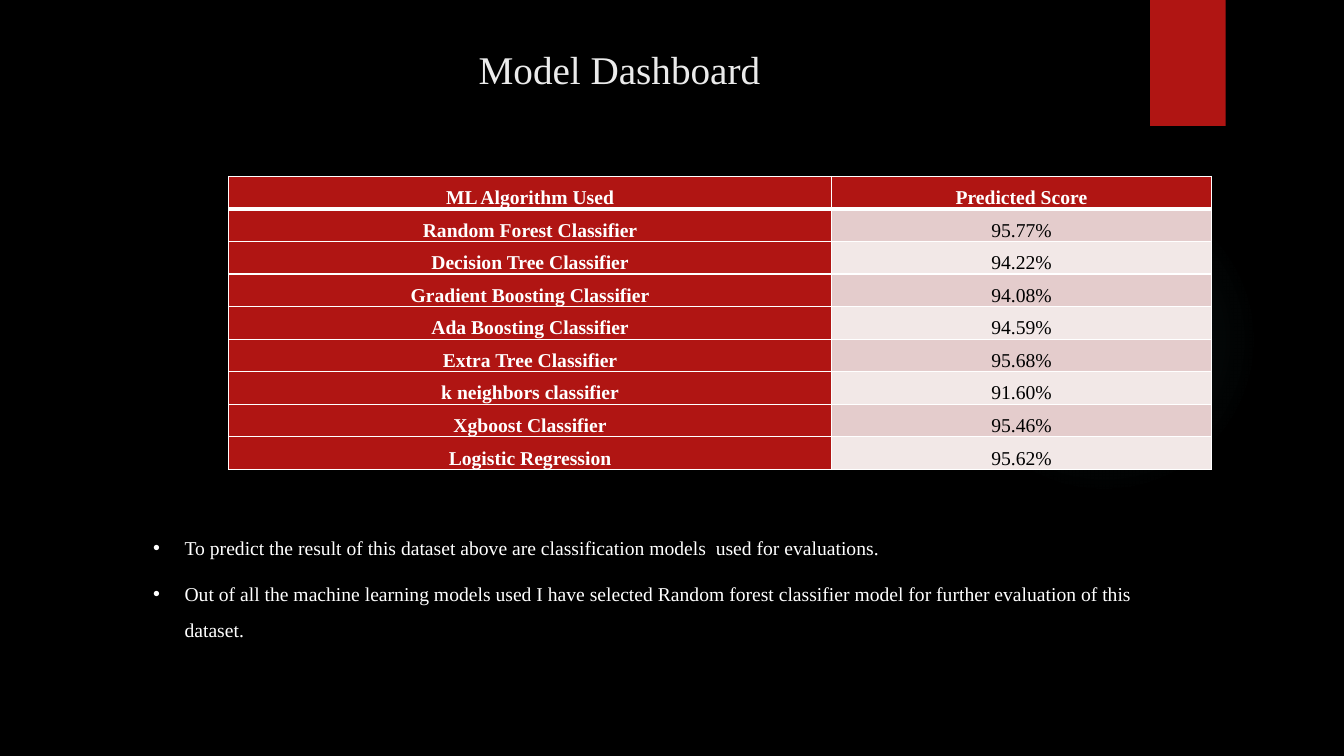
from typing import NamedTuple

from lxml import etree
from pptx import Presentation
from pptx import util as u
from pptx.dml.color import RGBColor
from pptx.enum import shapes, text
from pptx.oxml import ns

BLACK = RGBColor(0x00, 0x00, 0x00)
WHITE = RGBColor(0xFF, 0xFF, 0xFF)
OFF_WHITE = RGBColor(0xEB, 0xEB, 0xEB)
RED = RGBColor(0xB0, 0x15, 0x13)
DARK_BAND = RGBColor(0xE4, 0xCC, 0xCC)
LIGHT_BAND = RGBColor(0xF2, 0xE8, 0xE7)
TEAL = RGBColor(0x50, 0xB9, 0xC1)
FONT = "Times New Roman"


class Box(NamedTuple):
    left: float
    top: float
    width: float
    height: float

    def lengths(self) -> list:
        return [u.Pt(value) for value in self]


class Score(NamedTuple):
    algorithm: str
    score: str


class GlowStop(NamedTuple):
    position: int
    opacity: int


TITLE_BOX = Box(66.25, 28.8, 752.4, 55.45)
GLOW_BOX = Box(677.5, 131.75, 221.75, 221.75)
RIBBON_BOX = Box(821.5, 0, 54, 90)
TABLE_BOX = Box(163.45, 126, 702, 199.5)
NOTES_BOX = Box(66.25, 370.8, 793.45, 88.55)
COLUMN_WIDTHS = (430.55, 271.45)
GLOW_STOPS = (GlowStop(0, 7), GlowStop(36, 6), GlowStop(69, 0))

HEADER = Score("ML Algorithm Used", "Predicted Score")
SCORES = (
    Score("Random Forest Classifier", "95.77%"),
    Score("Decision Tree Classifier", "94.22%"),
    Score("Gradient Boosting Classifier", "94.08%"),
    Score("Ada Boosting Classifier", "94.59%"),
    Score("Extra Tree Classifier", "95.68%"),
    Score("k neighbors classifier", "91.60%"),
    Score("Xgboost Classifier", "95.46%"),
    Score("Logistic Regression", "95.62%"),
)
NOTES = (
    "To predict the result of this dataset above are classification models  used for evaluations.",
    "Out of all the machine learning models used I have selected Random forest classifier model "
    "for further evaluation of this dataset.",
)


def add_child(parent, tag: str, **attributes):
    return etree.SubElement(parent, ns.qn(tag), {key: str(value) for key, value in attributes.items()})


def add_run(paragraph, words: str, size: float, color: RGBColor, bold: bool = False) -> None:
    run = paragraph.add_run()
    run.text = words
    run.font.name = FONT
    run.font.size = u.Pt(size)
    run.font.bold = bold
    run.font.color.rgb = color


def space_lines(paragraph) -> None:
    paragraph.line_spacing = 1.5
    paragraph.space_after = u.Pt(8)


def add_plain_shape(slide, kind, box: Box, color: RGBColor):
    shape = slide.shapes.add_shape(kind, *box.lengths())
    shape.shadow.inherit = False
    shape.line.fill.background()
    shape.fill.solid()
    shape.fill.fore_color.rgb = color
    return shape


def add_glow(slide) -> None:
    shape = add_plain_shape(slide, shapes.MSO_SHAPE.OVAL, GLOW_BOX, TEAL)
    solid = shape.element.spPr.find(ns.qn("a:solidFill"))
    gradient = etree.Element(ns.qn("a:gradFill"), rotWithShape="1")
    stops = add_child(gradient, "a:gsLst")
    for stop in GLOW_STOPS:
        color = add_child(add_child(stops, "a:gs", pos=stop.position * 1000), "a:srgbClr", val=TEAL)
        add_child(color, "a:alpha", val=stop.opacity * 1000)
    circle = add_child(gradient, "a:path", path="circle")
    add_child(circle, "a:fillToRect", l=50000, t=50000, r=50000, b=50000)
    shape.element.spPr.replace(solid, gradient)


def add_title(slide) -> None:
    title = slide.shapes.title
    title.left, title.top, title.width, title.height = TITLE_BOX.lengths()
    frame = title.text_frame
    frame.auto_size = text.MSO_AUTO_SIZE.NONE
    frame.vertical_anchor = text.MSO_ANCHOR.TOP
    paragraph = frame.paragraphs[0]
    paragraph.alignment = text.PP_ALIGN.CENTER
    add_run(paragraph, "Model Dashboard", 28, OFF_WHITE)


def set_borders(cell, is_header: bool) -> None:
    widths = {"a:lnL": 1, "a:lnR": 1, "a:lnT": 1, "a:lnB": 3} if is_header else {"a:lnL": 1, "a:lnR": 1, "a:lnB": 1}
    properties = cell._tc.get_or_add_tcPr()
    for index, (tag, width) in enumerate(widths.items()):
        line = etree.Element(ns.qn(tag), w=str(u.Pt(width)))
        add_child(add_child(line, "a:solidFill"), "a:srgbClr", val=WHITE)
        properties.insert(index, line)


def fill_cell(cell, words: str, fill: RGBColor, is_header: bool) -> None:
    cell.margin_left = cell.margin_right = u.Pt(5)
    cell.margin_top = cell.margin_bottom = u.Pt(0)
    cell.vertical_anchor = text.MSO_ANCHOR.BOTTOM
    cell.fill.solid()
    cell.fill.fore_color.rgb = fill
    set_borders(cell, is_header)
    paragraph = cell.text_frame.paragraphs[0]
    paragraph.alignment = text.PP_ALIGN.CENTER
    space_lines(paragraph)
    on_red = fill == RED
    add_run(paragraph, words, 14, WHITE if on_red else BLACK, on_red)


def add_score_table(slide) -> None:
    rows = (HEADER, *SCORES)
    table = slide.shapes.add_table(len(rows), len(COLUMN_WIDTHS), *TABLE_BOX.lengths()).table
    table.horz_banding = False
    for column, width in zip(table.columns, COLUMN_WIDTHS):
        column.width = u.Pt(width)
    for index, row in enumerate(rows):
        is_header = index == 0
        band = RED if is_header else DARK_BAND if index % 2 else LIGHT_BAND
        fill_cell(table.cell(index, 0), row.algorithm, RED, is_header)
        fill_cell(table.cell(index, 1), row.score, band, is_header)


def add_notes(slide) -> None:
    frame = slide.shapes.add_textbox(*NOTES_BOX.lengths()).text_frame
    frame.word_wrap = True
    frame.auto_size = text.MSO_AUTO_SIZE.SHAPE_TO_FIT_TEXT
    for index, words in enumerate(NOTES):
        paragraph = frame.add_paragraph() if index else frame.paragraphs[0]
        space_lines(paragraph)
        properties = paragraph._p.get_or_add_pPr()
        properties.set("marL", str(u.Pt(58.5)))
        properties.set("indent", str(u.Pt(-22.5)))
        add_child(properties, "a:buFont", typeface="Arial")
        add_child(properties, "a:buChar", char="•")
        add_run(paragraph, words, 14, WHITE)


def main() -> None:
    presentation = Presentation()
    presentation.slide_width = u.Pt(960)
    presentation.slide_height = u.Pt(540)
    slide = presentation.slides.add_slide(presentation.slide_layouts.get_by_name("Title Only"))
    slide.background.fill.solid()
    slide.background.fill.fore_color.rgb = BLACK
    add_glow(slide)
    add_plain_shape(slide, shapes.MSO_SHAPE.RECTANGLE, RIBBON_BOX, RED)
    add_title(slide)
    add_score_table(slide)
    add_notes(slide)
    presentation.save("out.pptx")


main()
